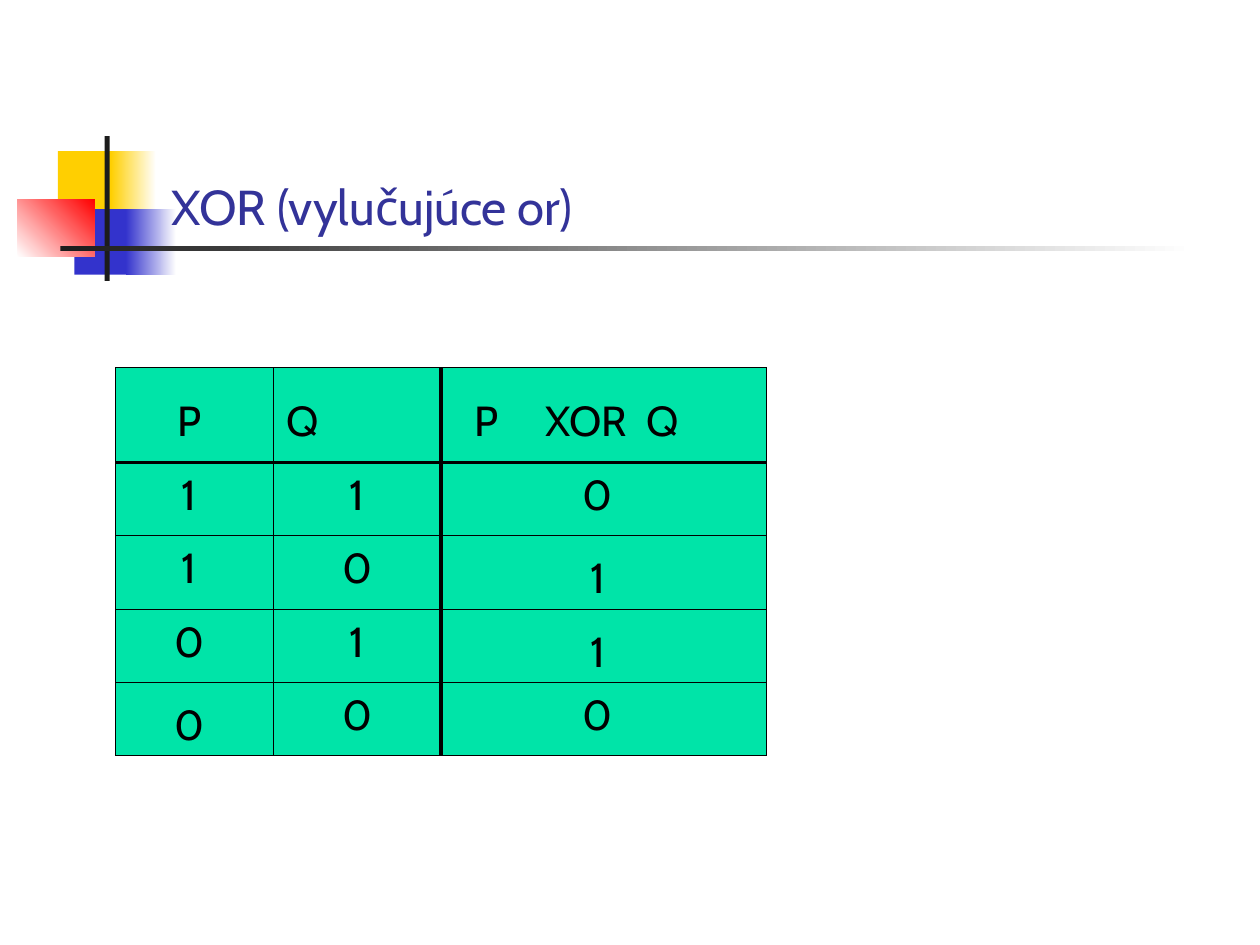
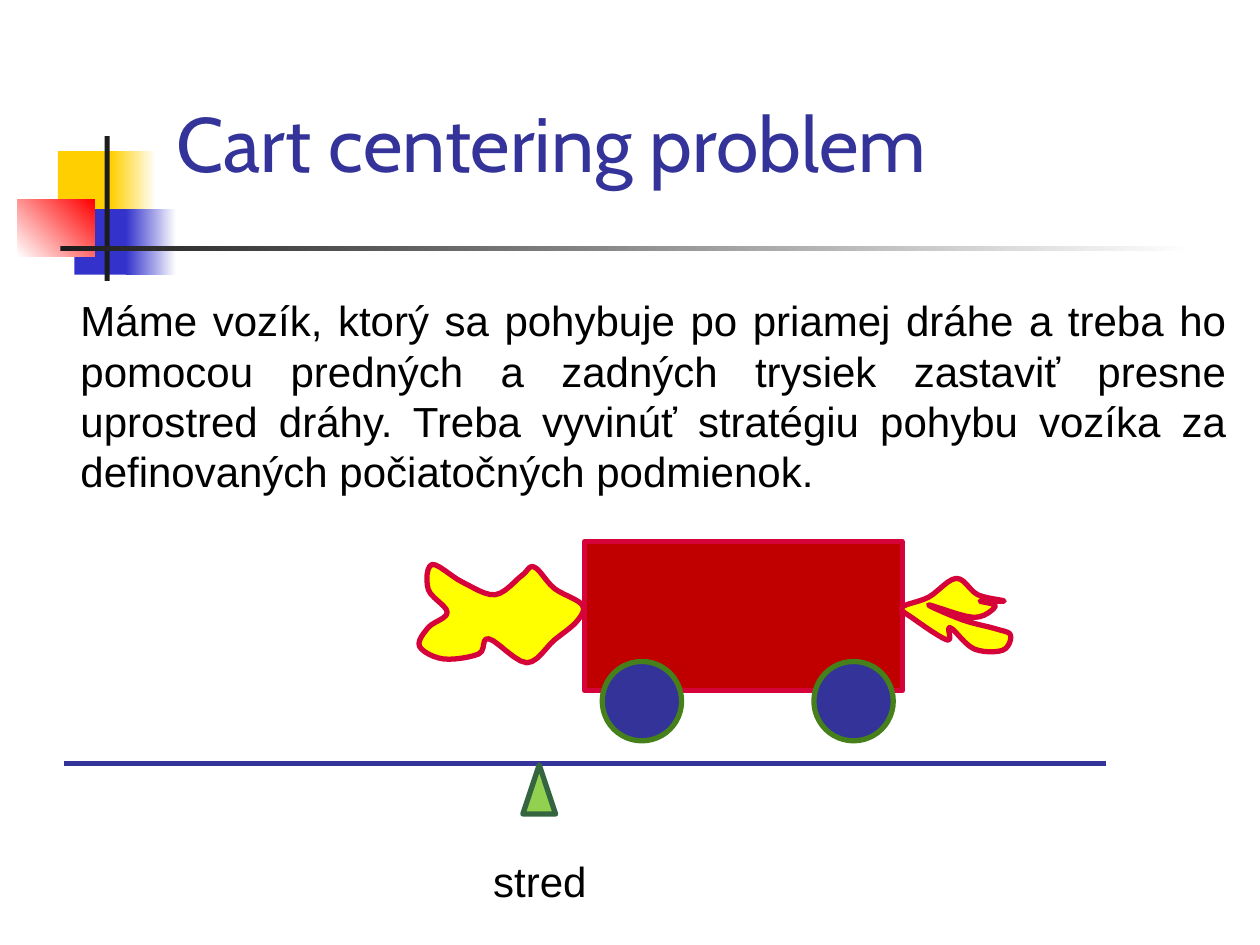
from itertools import product

from lxml import etree
from pptx import Presentation
from pptx.dml.color import RGBColor
from pptx.enum import shapes, text
from pptx.oxml import ns
from pptx.util import Inches, Pt

COLORS = {
    "title": "333399", "text": "000000", "white": "FFFFFF",
    "yellow": "FFCF01", "blue": "3333CC", "red": "FF0000", "bar": "1C1C1C",
    "table": "00E4A8", "grid": "000000",
    "cart": "C00000", "cart_edge": "D6023A", "flame": "FFFF00",
    "wheel": "333399", "wheel_edge": "46801A", "track": "333399",
    "marker": "92D050", "marker_edge": "356540",
}
HEAD_FONT, BODY_FONT = "Cabin", "Arial"
TEXT_SIZE = 24
PRESET = shapes.MSO_SHAPE
ALIGN = text.PP_ALIGN

# Master decoration: left, top, width, height, first colour, last colour, angle
DECORATION = [
    (0.46, 1.2, 0.48, 0.52, "yellow", None, 0),
    (0.88, 1.2, 0.36, 0.52, "yellow", "white", 0),
    (0.59, 1.66, 0.46, 0.52, "blue", None, 0),
    (1, 1.66, 0.4, 0.52, "blue", "white", 0),
    (0.14, 1.58, 0.61, 0.46, "white", "red", 45),
    (0.83, 1.08, 0.04, 1.15, "bar", None, 0),
    (0.48, 1.95, 9, 0.04, "bar", "white", 0),
]

# Truth table
THIN_RULE, THICK_RULE = 0.75, 2.25
TABLE_LEFT, TABLE_TOP, TABLE_HEIGHT = 0.92, 2.92, 3.08
COLUMN_WIDTHS = (1.25, 1.33, 2.58)
HEADER_HEIGHT = 0.75
HEADERS = ("P", "Q", "P\tXOR\tQ")
HEADER_TABS = (0.56, 1.36)
HEADER_INDENTS = {1: 0.1, 2: 0.27}
RESULT = 2
LOWERED_CELLS = {(2, RESULT), (3, RESULT), (4, 0)}

# Cart
CART_LEFT, CART_TOP, CART_WIDTH, CART_HEIGHT = 4.64, 4.3, 2.52, 1.18
WHEEL_TOP, WHEEL_SIZE = 5.25, 0.63
WHEEL_LEFTS = (4.78, 6.46)
NOZZLE_HEIGHT = 4.8
CURVE_STEPS = 6

# Flame bends: distance away from the cart, distance below the nozzle
REAR_BENDS = [
    (0.02, 0), (0.24, -0.13), (0.4, -0.3), (0.5, -0.23), (0.71, -0.08),
    (0.97, -0.18), (1.21, -0.32), (1.24, -0.12), (1.09, 0.06), (1.24, 0.18),
    (1.31, 0.33), (1.12, 0.43), (0.84, 0.39), (0.76, 0.27), (0.46, 0.46),
    (0.24, 0.28), (0.06, 0.13),
]
FRONT_BENDS = [
    (0, 0.02), (0.21, -0.06), (0.43, -0.21), (0.6, -0.08), (0.81, -0.03),
    (0.62, -0.03), (0.74, 0.01), (0.57, 0.1), (0.21, 0), (0.48, 0.12),
    (0.74, 0.19), (0.86, 0.24), (0.8, 0.36), (0.57, 0.35), (0.38, 0.18),
    (0.36, 0.28), (0.09, 0.11),
]


def rgb(name):
    return RGBColor.from_string(COLORS[name])


def inches(*lengths):
    return [Inches(length) for length in lengths]


def style_text(para, font, size, color="text"):
    for span in para.runs:
        span.font.name = font
        span.font.size = Pt(size)
        span.font.color.rgb = rgb(color)


def style_shape(shape, fill, edge=None):
    shape.shadow.inherit = False
    shape.fill.solid()
    shape.fill.fore_color.rgb = rgb(fill)
    if edge:
        shape.line.color.rgb = rgb(edge)
        shape.line.width = Pt(3)
    else:
        shape.line.fill.background()


def add_preset(parent, kind, place, fill, edge=None):
    shape = parent.add_shape(kind, *inches(*place))
    style_shape(shape, fill, edge)
    return shape


def add_line(page, start, end, color, width):
    line = page.shapes.add_connector(
        shapes.MSO_CONNECTOR.STRAIGHT, *inches(*start, *end))
    line.line.color.rgb = rgb(color)
    line.line.width = Pt(width)
    etree.SubElement(line.element.spPr, ns.qn("a:effectLst"))


def add_text(page, place, words, align):
    box = page.shapes.add_textbox(*inches(*place))
    box.text_frame.word_wrap = True
    box.text_frame.text = words
    para = box.text_frame.paragraphs[0]
    para.alignment = align
    para.line_spacing = Pt(1.2 * TEXT_SIZE)
    style_text(para, BODY_FONT, TEXT_SIZE)


# Shared page parts

def decorate_master(deck, page):
    """Draw the coloured blocks and move them to the shared master."""
    tree = deck.slide_master.element.cSld.spTree
    for *place, first, last, angle in DECORATION:
        block = add_preset(page.shapes, PRESET.RECTANGLE, place, first)
        if last:
            block.fill.gradient()
            block.fill.gradient_angle = angle
            for stop, color in zip(block.fill.gradient_stops, (first, last)):
                stop.color.rgb = rgb(color)
        tree.append(block.element)


def add_page(deck, title, left, top, size):
    page = deck.slides.add_slide(deck.slide_layouts.get_by_name("Title Only"))
    box = page.shapes.title
    box.left, box.top, box.width, box.height = inches(left, top, 8.52, 1.25)
    frame = box.text_frame
    frame.text = title
    frame.auto_size = text.MSO_AUTO_SIZE.NONE
    frame.vertical_anchor = text.MSO_ANCHOR.BOTTOM
    frame.paragraphs[0].alignment = ALIGN.LEFT
    style_text(frame.paragraphs[0], HEAD_FONT, size, "title")
    return page


# Truth table

def set_border(cell, side, thick):
    width = Pt(THICK_RULE if thick else THIN_RULE)
    line = etree.SubElement(cell._tc.get_or_add_tcPr(), ns.qn("a:ln" + side),
                            w=str(width))
    fill = etree.SubElement(line, ns.qn("a:solidFill"))
    etree.SubElement(fill, ns.qn("a:srgbClr"), val=COLORS["grid"])


def set_tabs(para, stops):
    tabs = etree.SubElement(para._p.get_or_add_pPr(), ns.qn("a:tabLst"))
    for stop in stops:
        etree.SubElement(tabs, ns.qn("a:tab"), pos=str(Inches(stop)), algn="l")


def style_cell(cell, row, column):
    """Fill the cell; thick rules part the header and the result column."""
    set_border(cell, "L", column == RESULT)
    set_border(cell, "R", column == RESULT - 1)
    set_border(cell, "T", row == 1)
    set_border(cell, "B", row == 0)
    cell.fill.solid()
    cell.fill.fore_color.rgb = rgb("table")


def place_cell_text(cell, row, column):
    is_header = row == 0
    indent = HEADER_INDENTS.get(column) if is_header else None
    if is_header:
        top = 0.22
    else:
        top = 0.14 if (row, column) in LOWERED_CELLS else 0.06
    right = 0.1 if column == 1 else 0.19
    cell.margin_left, cell.margin_right = inches(indent or 0.1, right)
    cell.margin_top, cell.margin_bottom = inches(top, 0)
    cell.vertical_anchor = text.MSO_ANCHOR.TOP
    para = cell.text_frame.paragraphs[0]
    para.alignment = ALIGN.LEFT if indent else ALIGN.CENTER
    if is_header and column == RESULT:
        set_tabs(para, HEADER_TABS)
    style_text(para, HEAD_FONT, TEXT_SIZE)


def add_truth_table(page):
    rows = [HEADERS] + [(p, q, p ^ q) for p, q in product((1, 0), repeat=2)]
    row_height = (TABLE_HEIGHT - HEADER_HEIGHT) / (len(rows) - 1)
    place = inches(TABLE_LEFT, TABLE_TOP, sum(COLUMN_WIDTHS), TABLE_HEIGHT)
    table = page.shapes.add_table(len(rows), len(HEADERS), *place).table
    table.first_row = table.horz_banding = False
    for column, width in zip(table.columns, COLUMN_WIDTHS):
        column.width = Inches(width)
    for row, values in enumerate(rows):
        table.rows[row].height = Inches(row_height if row else HEADER_HEIGHT)
        for column, value in enumerate(values):
            cell = table.cell(row, column)
            cell.text = str(value)
            style_cell(cell, row, column)
            place_cell_text(cell, row, column)


# Cart

def curve_point(before, start, end, after, t):
    """Catmull-Rom spline: the point at share t of the way from start to end."""
    return tuple(
        b + t / 2 * (c - a + t * (2 * a - 5 * b + 4 * c - d
                                  + t * (3 * (b - c) + d - a)))
        for a, b, c, d in zip(before, start, end, after))


def smooth_outline(bends):
    """Join the bends into one closed curve."""
    count = len(bends)
    return [
        curve_point(*(bends[(index + step) % count] for step in (-1, 0, 1, 2)),
                    part / CURVE_STEPS)
        for index, part in product(range(count), range(CURVE_STEPS))]


def add_flame(parent, nozzle_left, direction, bends):
    corners = [inches(nozzle_left + direction * away, NOZZLE_HEIGHT + below)
               for away, below in smooth_outline(bends)]
    builder = parent.build_freeform(*corners[0], scale=1.0)
    builder.add_line_segments(corners[1:], close=True)
    style_shape(builder.convert_to_shape(), "flame", "cart_edge")


def add_cart(page):
    cart = page.shapes.add_group_shape().shapes
    add_preset(cart, PRESET.RECTANGLE,
               (CART_LEFT, CART_TOP, CART_WIDTH, CART_HEIGHT),
               "cart", "cart_edge")
    for left in WHEEL_LEFTS:
        add_preset(cart, PRESET.OVAL, (left, WHEEL_TOP, WHEEL_SIZE, WHEEL_SIZE),
                   "wheel", "wheel_edge")
    add_flame(cart, CART_LEFT, -1, REAR_BENDS)
    add_flame(cart, CART_LEFT + CART_WIDTH, 1, FRONT_BENDS)


def main():
    deck = Presentation()
    deck.slide_width, deck.slide_height = inches(10, 7.5)

    # XOR truth table
    page = add_page(deck, "XOR (vylučujúce or)", 1.26, 0.67, 28)
    decorate_master(deck, page)
    add_truth_table(page)

    # Cart on its track, with the centre marked below
    page = add_page(deck, "Cart centering problem", 1.3, 0.29, 44)
    add_text(page, (0.54, 2.29, 9.29, 1.7),
             "Máme vozík, ktorý sa pohybuje po priamej dráhe a treba ho pomocou "
             "predných a zadných trysiek zastaviť presne uprostred dráhy. Treba "
             "vyvinúť stratégiu pohybu vozíka za definovaných počiatočných "
             "podmienok.", ALIGN.JUSTIFY)
    add_cart(page)
    add_line(page, (0.51, 6.06), (8.78, 6.06), "track", 3)
    add_preset(page.shapes, PRESET.ISOSCELES_TRIANGLE,
               (4.15, 6.07, 0.26, 0.39), "marker", "marker_edge")
    add_text(page, (3.38, 6.74, 1.81, 0.5), "stred", ALIGN.CENTER)

    deck.save("out.pptx")


if __name__ == "__main__":
    main()
